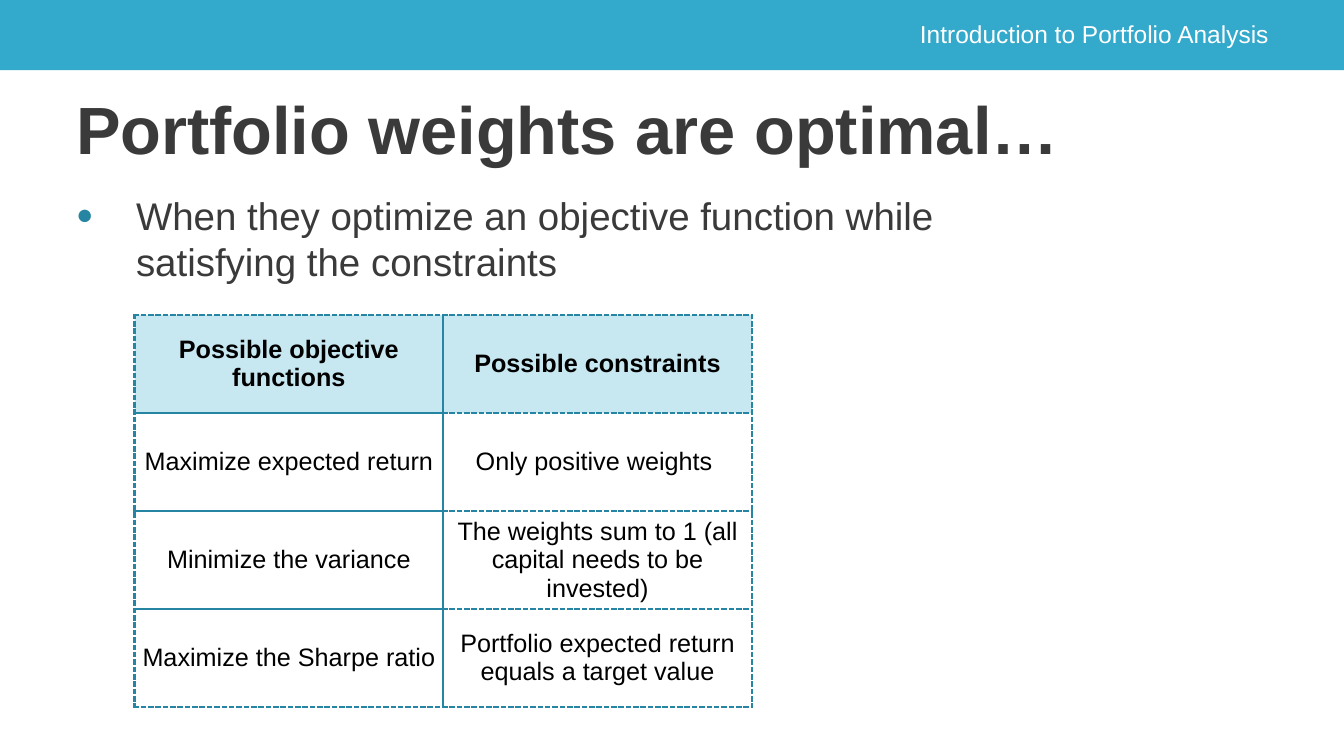
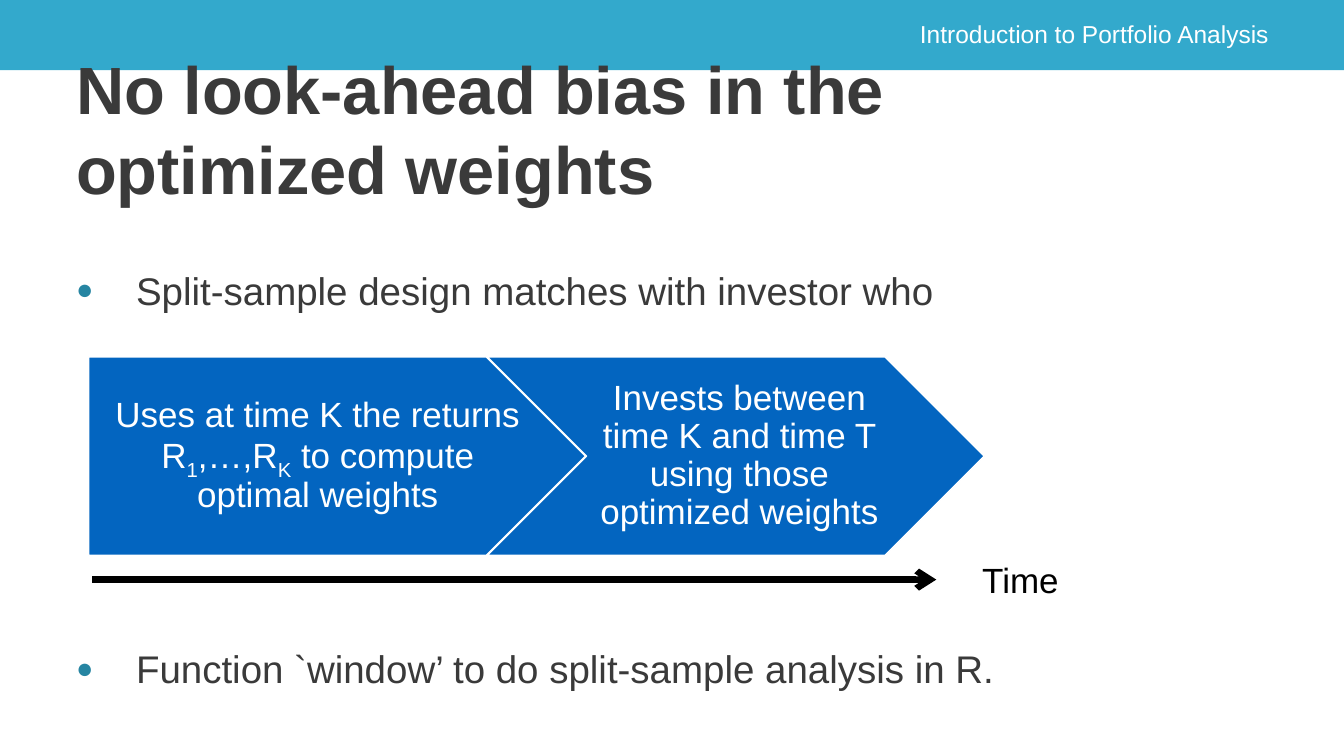
from dataclasses import dataclass
from typing import NamedTuple

from lxml.etree import SubElement
from pptx import Presentation
from pptx.dml.color import RGBColor
from pptx.enum.shapes import MSO_CONNECTOR, MSO_SHAPE
from pptx.enum.text import MSO_ANCHOR, PP_ALIGN
from pptx.oxml.ns import qn
from pptx.util import Inches, Pt


@dataclass(frozen=True)
class Theme:
    font: str = "Arial"
    band: str = "33A9CC"
    ink: str = "3A3A3A"
    accent: str = "2685A2"
    step: str = "0365C0"
    white: str = "FFFFFF"
    black: str = "000000"
    header_size: float = 35
    title_size: float = 95.4
    body_size: float = 55
    table_size: float = 36
    step_size: float = 50


T = Theme()


class Box(NamedTuple):
    left: float
    top: float
    width: float
    height: float

    def emu(self) -> list:
        return [Inches(v) for v in self]


class Style(NamedTuple):
    size: float
    color: str
    bold: bool = False
    align: PP_ALIGN = PP_ALIGN.LEFT


class Span(NamedTuple):
    text: str
    subscript: bool = False


class Bullet(NamedTuple):
    text: str
    space_before: float = 0


class Step(NamedTuple):
    shape: MSO_SHAPE
    left: float
    inset_left: float
    spans: list


HEADER = Style(T.header_size, T.white, align=PP_ALIGN.RIGHT)
TITLE = Style(T.title_size, T.ink, bold=True)
BODY = Style(T.body_size, T.ink)
TABLE_HEAD = Style(T.table_size, T.black, True, PP_ALIGN.CENTER)
TABLE_BODY = Style(T.table_size, T.black, align=PP_ALIGN.CENTER)
STEP = Style(T.step_size, T.white, align=PP_ALIGN.CENTER)
AXIS = Style(T.step_size, T.black, align=PP_ALIGN.CENTER)

BODY_BOX = Box(1.26, 3.72, 19.92, 10.35)
TABLE_BOX = Box(2.67, 6.25, 12.25, 7.78)
INSET = 0.08
SMALL_INSET = 0.06

ROWS = [
    ("Possible objective functions", "Possible constraints"),
    ("Maximize expected return", "Only positive weights "),
    ("Minimize the variance",
     "The weights sum to 1 (all capital needs to be invested)"),
    ("Maximize the Sharpe ratio",
     "Portfolio expected return equals a target value"),
]

STEPS = [
    Step(MSO_SHAPE.PENTAGON, 1.76, 0.29, [
        Span("Uses at time K the returns R"), Span("1", True), Span(",…,R"),
        Span("K", True), Span(" to compute optimal weights")]),
    Step(MSO_SHAPE.CHEVRON, 9.67, 0.22, [
        Span("Invests between time K and time T using those "
             "optimized weights")]),
]


# Text helpers
def rgb(color: str) -> RGBColor:
    return RGBColor.from_string(color)


def style_paragraph(p, style: Style) -> None:
    p.alignment = style.align
    for r in p.runs:
        r.font.name = T.font
        r.font.size = Pt(style.size)
        r.font.bold = style.bold
        r.font.color.rgb = rgb(style.color)


def set_frame(tf, insets: tuple, anchor=MSO_ANCHOR.MIDDLE) -> None:
    tf.word_wrap = True
    tf.vertical_anchor = anchor
    (tf.margin_left, tf.margin_top,
     tf.margin_right, tf.margin_bottom) = [Inches(v) for v in insets]


def add_text(s, box: Box, text: str, style: Style,
             inset: float = INSET) -> None:
    tf = s.shapes.add_textbox(*box.emu()).text_frame
    set_frame(tf, (inset,) * 4)
    tf.text = text
    style_paragraph(tf.paragraphs[0], style)


def add_bullets(s, bullets: list, offset: float = 0) -> None:
    tf = s.shapes.add_textbox(*BODY_BOX.emu()).text_frame
    set_frame(tf, (INSET, INSET + offset, INSET, INSET), MSO_ANCHOR.TOP)
    for i, bullet in enumerate(bullets):
        p = tf.add_paragraph() if i else tf.paragraphs[0]
        p.text = bullet.text
        p.space_before = Pt(bullet.space_before)
        style_paragraph(p, BODY)
        pPr = p._p.get_or_add_pPr()
        pPr.set("marL", str(Inches(1.36)))
        pPr.set("indent", str(Inches(-1.19)))
        color = SubElement(pPr, qn("a:buClr"))
        SubElement(color, qn("a:srgbClr"), val=T.accent)
        SubElement(pPr, qn("a:buSzPct"), val="75000")
        SubElement(pPr, qn("a:buFont"), typeface=T.font)
        SubElement(pPr, qn("a:buChar"), char="●")


# Shape helpers
def add_filled(s, kind: MSO_SHAPE, box: Box, color: str):
    sp = s.shapes.add_shape(kind, *box.emu())
    sp.shadow.inherit = False
    sp.fill.solid()
    sp.fill.fore_color.rgb = rgb(color)
    sp.line.fill.background()
    return sp


def add_step(s, step: Step) -> None:
    sp = add_filled(s, step.shape, Box(step.left, 7.08, 9.86, 3.94), T.step)
    sp.line.color.rgb = rgb(T.white)
    sp.line.width = Pt(2)
    tf = sp.text_frame
    set_frame(tf, (step.inset_left, 0.15, 0.07, 0.15))
    p = tf.paragraphs[0]
    p.line_spacing = 0.9
    for span in step.spans:
        r = p.add_run()
        r.text = span.text
        if span.subscript:
            r.font._element.set("baseline", "-25000")
    style_paragraph(p, STEP)


def add_arrow(s, left: float, right: float, y: float) -> None:
    line = s.shapes.add_connector(
        MSO_CONNECTOR.STRAIGHT,
        Inches(left), Inches(y), Inches(right), Inches(y))
    line.line.color.rgb = rgb(T.black)
    line.line.width = Pt(9)
    SubElement(line.line._get_or_add_ln(), qn("a:tailEnd"), type="arrow")
    SubElement(line._element.spPr, qn("a:effectLst"))


# Table helpers
def add_border(cell, side: str, dash: str) -> None:
    ln = SubElement(cell._tc.get_or_add_tcPr(), qn(f"a:ln{side}"),
                    w=str(Pt(4)))
    fill = SubElement(ln, qn("a:solidFill"))
    SubElement(fill, qn("a:srgbClr"), val=T.accent)
    SubElement(ln, qn("a:prstDash"), val=dash)


def border_dash(side: str, row: int, col: int) -> str:
    """Solid between columns and inside the first column, else dashed."""
    inner = {"L": col > 0, "R": col == 0,
             "T": col == 0 and row > 0,
             "B": col == 0 and row < len(ROWS) - 1}
    return "solid" if inner[side] else "sysDash"


def fill_cell(cell, text: str, row: int, col: int) -> None:
    for side in "LRTB":
        add_border(cell, side, border_dash(side, row, col))
    if row == 0:
        cell.fill.solid()
        cell.fill.fore_color.rgb = rgb(T.band)
        color = cell._tc.tcPr.find(f"{qn('a:solidFill')}/{qn('a:srgbClr')}")
        SubElement(color, qn("a:alpha"), val="27000")
    else:
        cell.fill.background()
    cell.vertical_anchor = MSO_ANCHOR.MIDDLE
    cell.margin_left = cell.margin_right = Inches(SMALL_INSET)
    cell.margin_top = cell.margin_bottom = Inches(SMALL_INSET)
    cell.text = text
    style_paragraph(cell.text_frame.paragraphs[0],
                    TABLE_BODY if row else TABLE_HEAD)


def add_goals_table(s) -> None:
    table = s.shapes.add_table(len(ROWS), 2, *TABLE_BOX.emu()).table
    table.first_row = table.horz_banding = False
    for i, row in enumerate(ROWS):
        for j, text in enumerate(row):
            fill_cell(table.cell(i, j), text, i, j)


# Slides
def add_slide(prs, title: str):
    s = prs.slides.add_slide(prs.slide_layouts[6])
    add_filled(s, MSO_SHAPE.RECTANGLE, Box(0, 0, 26.67, 1.39), T.band)
    add_text(s, Box(17.45, 0.32, 7.79, 0.69),
             "Introduction to Portfolio Analysis", HEADER, SMALL_INSET)
    add_text(s, Box(1.43, 1.58, 20.01, 1.92), title, TITLE)
    return s


def build_optimal_weights(prs) -> None:
    s = add_slide(prs, "Portfolio weights are optimal…")
    add_bullets(s, [Bullet("When they optimize an objective function while "
                           "satisfying the constraints")])
    add_goals_table(s)


def build_look_ahead(prs) -> None:
    s = add_slide(prs, "No look-ahead bias in the optimized weights")
    add_bullets(s, [
        Bullet("Split-sample design matches with investor who"),
        Bullet("Function `window’ to do split-sample analysis in R.", 475),
    ], offset=1.49)
    for step in STEPS:
        add_step(s, step)
    add_arrow(s, 1.83, 18.58, 11.5)
    add_text(s, Box(19.25, 11, 2, 1), "Time", AXIS)


def main() -> None:
    prs = Presentation()
    prs.slide_width, prs.slide_height = Inches(26.67), Inches(15)
    build_optimal_weights(prs)
    build_look_ahead(prs)
    prs.save("out.pptx")


if __name__ == "__main__":
    main()
